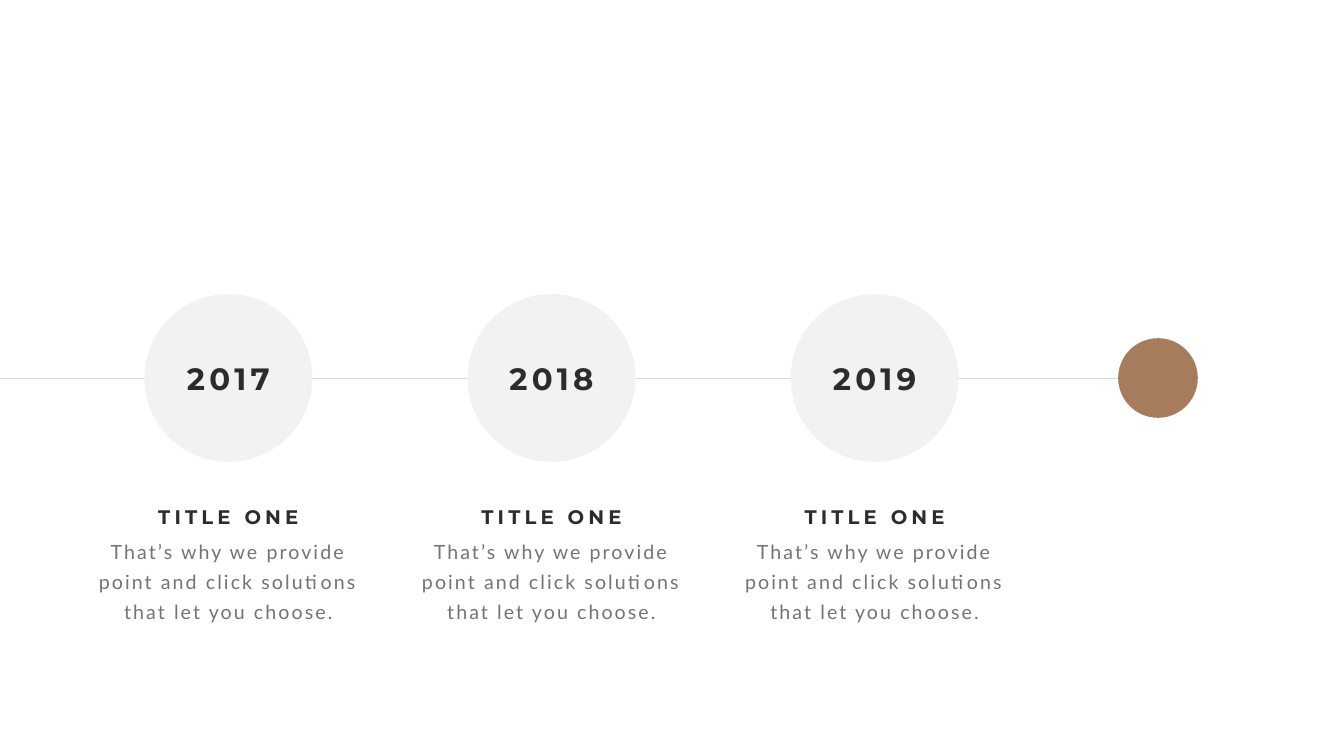
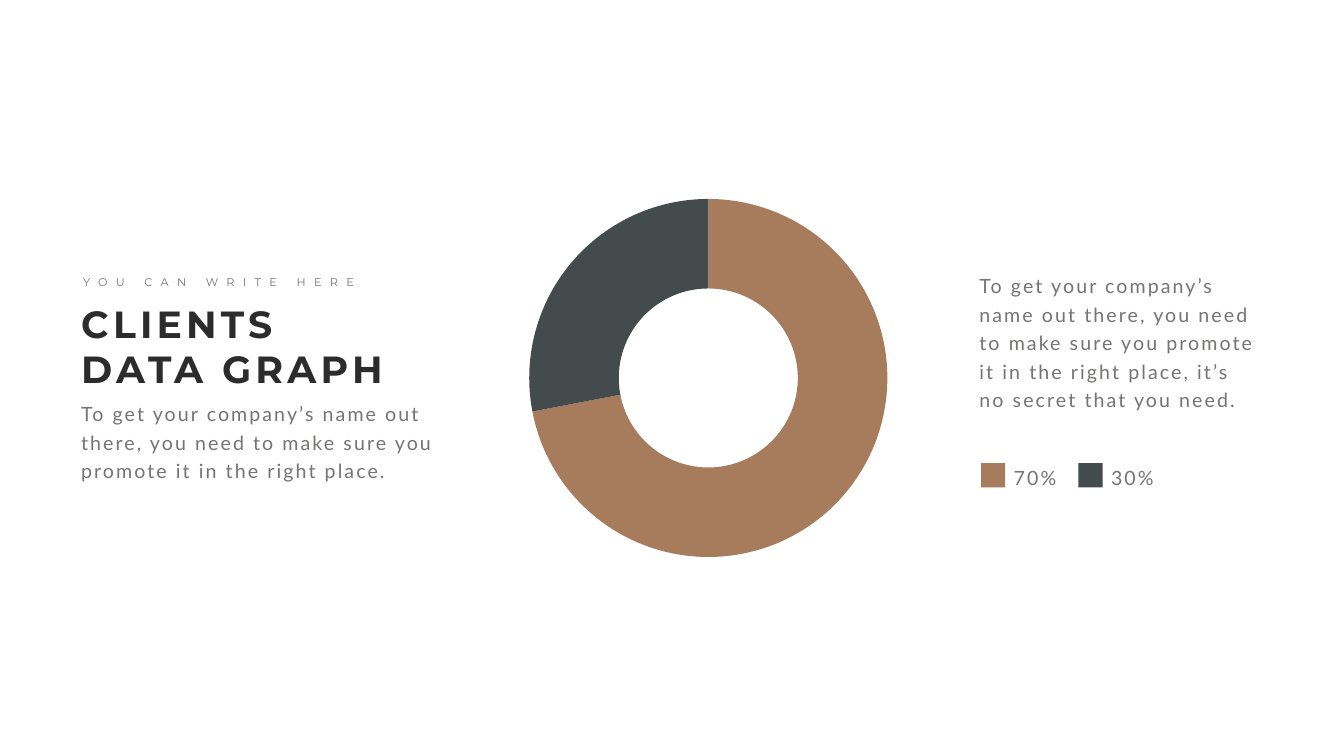
from dataclasses import dataclass

from lxml.etree import SubElement
from pptx import Presentation
from pptx.chart.data import CategoryChartData
from pptx.dml.color import RGBColor
from pptx.enum.chart import XL_CHART_TYPE
from pptx.enum.shapes import MSO_CONNECTOR, MSO_SHAPE
from pptx.enum.text import MSO_ANCHOR, MSO_AUTO_SIZE, PP_ALIGN
from pptx.oxml.ns import qn
from pptx.util import Inches, Pt


@dataclass(frozen=True)
class TextStyle:
    font: str
    size: int
    color: str
    spacing: int  # letter spacing in points
    bold: bool = False


class Theme:
    PAPER = "FFFFFF"
    INK = "2B2C2B"
    GREY = "737572"
    PALE = "F2F2F2"
    RULE = "D9D9D9"
    BROWN = "A67C5C"
    SLATE = "444B4D"

    TITLE = TextStyle("Montserrat", 54, INK, 6, True)
    YEAR = TextStyle("Montserrat", 44, INK, 6, True)
    HEADING = TextStyle("Montserrat", 28, INK, 6, True)
    KICKER = TextStyle("Montserrat", 16, GREY, 12)
    BODY = TextStyle("Lato", 28, GREY, 3)
    CHART_FONT = "Calibri"
    CHART_SIZE = 10
    BODY_LEADING = 40.8
    STEP_LEADING = 43


TITLE_ONLY, BLANK = 5, 6


class Deck:
    """Holds the presentation, its theme and the slide being filled."""

    def __init__(self, theme):
        self.theme = theme
        self.presentation = Presentation()
        self.presentation.slide_width = Inches(26.66)
        self.presentation.slide_height = Inches(15)
        self.slide = None

    def new_slide(self, layout):
        layouts = self.presentation.slide_layouts
        self.slide = self.presentation.slides.add_slide(layouts[layout])
        self.paint(self.slide.background.fill, self.theme.PAPER)

    @staticmethod
    def paint(fill, color):
        fill.solid()
        fill.fore_color.rgb = RGBColor.from_string(color)

    def fill_frame(self, frame, content, style, align, leading=None, wrap=True):
        frame.word_wrap = wrap
        frame.auto_size = MSO_AUTO_SIZE.SHAPE_TO_FIT_TEXT
        frame.vertical_anchor = MSO_ANCHOR.TOP
        paragraph = frame.paragraphs[0]
        paragraph.alignment = align
        if leading:
            paragraph.line_spacing = Pt(leading)
        run = paragraph.add_run()
        run.text = content
        run._r.get_or_add_rPr().set("spc", str(style.spacing * 100))
        font = paragraph.font
        font.name, font.size, font.bold = style.font, Pt(style.size), style.bold
        font.color.rgb = RGBColor.from_string(style.color)

    def title(self, content, left, top, width, height):
        heading = self.slide.shapes.title
        heading.left, heading.top = Inches(left), Inches(top)
        heading.width, heading.height = Inches(width), Inches(height)
        self.fill_frame(heading.text_frame, content, self.theme.TITLE, PP_ALIGN.LEFT)

    def text(self, content, style, left, top, width, height,
             align=PP_ALIGN.LEFT, leading=None, wrap=True):
        box = self.slide.shapes.add_textbox(
            Inches(left), Inches(top), Inches(width), Inches(height))
        self.fill_frame(box.text_frame, content, style, align, leading, wrap)

    def centred_text(self, content, style, center, top, width, height, leading=None):
        self.text(content, style, center - width / 2, top, width, height,
                  PP_ALIGN.CENTER, leading)

    def shape(self, preset, color, left, top, size):
        figure = self.slide.shapes.add_shape(
            preset, Inches(left), Inches(top), Inches(size), Inches(size))
        figure.shadow.inherit = False
        self.paint(figure.fill, color)
        figure.line.fill.background()

    def circle(self, color, center_x, center_y, diameter):
        self.shape(MSO_SHAPE.OVAL, color, center_x - diameter / 2,
                   center_y - diameter / 2, diameter)

    def horizontal_line(self, start, end, y):
        rule = self.slide.shapes.add_connector(
            MSO_CONNECTOR.STRAIGHT, Inches(start), Inches(y), Inches(end), Inches(y))
        rule.line.color.rgb = RGBColor.from_string(self.theme.RULE)
        rule.line.width = Pt(0.5)
        SubElement(rule._element.spPr, qn("a:effectLst"))

    def doughnut(self, values, colors, left, top, width, height):
        data = CategoryChartData()
        data.categories = [str(n) for n in range(1, len(values) + 1)]
        data.add_series("Series 1", values)
        chart = self.slide.shapes.add_chart(
            XL_CHART_TYPE.DOUGHNUT, Inches(left), Inches(top),
            Inches(width), Inches(height), data).chart
        chart.has_legend = chart.has_title = False
        chart.font.name = self.theme.CHART_FONT
        chart.font.size = Pt(self.theme.CHART_SIZE)
        chart.font.color.rgb = RGBColor.from_string(self.theme.GREY)
        plot = chart.plots[0]
        plot.vary_by_categories = True
        plot._element.find(qn("c:holeSize")).set("val", "90")
        for index, color in enumerate(colors):
            slice_format = plot.series[0].points[index].format
            self.paint(slice_format.fill, color)
            slice_format.line.fill.background()


def timeline_slide(deck):
    theme = deck.theme
    axis_y, first_center, pitch, end_center = 7.5, 4.53, 6.41, 22.97
    deck.new_slide(BLANK)
    deck.horizontal_line(0, end_center, axis_y)
    deck.circle(theme.BROWN, end_center, axis_y, 1.58)
    for step, year in enumerate(("2017", "2018", "2019")):
        center = first_center + step * pitch
        deck.centred_text(
            "That’s why we provide point and click solutions that let you choose.",
            theme.BODY, center, 10.53, 5.45, 1.85, theme.STEP_LEADING)
        deck.centred_text("TITLE ONE", theme.HEADING, center, 9.96, 4.41, 0.57)
        deck.circle(theme.PALE, center, axis_y, 3.33)
        deck.centred_text(year, theme.YEAR, center, 7.08, 3.26, 0.84)


def clients_slide(deck):
    theme = deck.theme
    leading = theme.BODY_LEADING
    deck.new_slide(TITLE_ONLY)
    deck.text("To get your company’s name out there, you need to make sure you "
              "promote it in the right place.",
              theme.BODY, 1.51, 7.83, 7.54, 1.77, leading=leading)
    deck.title("CLIENTS DATA GRAPH", 1.51, 5.91, 6.52, 1.92)
    deck.text("YOU CAN WRITE HERE", theme.KICKER, 1.55, 5.41, 5.78, 0.37, wrap=False)
    deck.doughnut((72, 28), (theme.BROWN, theme.SLATE), 10.1, 3.81, 7.9, 7.38)

    legend = (("70%", theme.BROWN), ("30%", theme.SLATE))
    for entry, (share, color) in enumerate(legend):
        left = 19.46 + entry * 1.93
        deck.shape(MSO_SHAPE.RECTANGLE, color, left, 9.19, 0.48)
        deck.text(share, theme.BODY, left + 0.55, 9.09, 1.18, 0.62, leading=leading)
    deck.text("To get your company’s name out there, you need to make sure you "
              "promote it in the right place, it’s no secret that you need.",
              theme.BODY, 19.33, 5.29, 5.78, 2.92, leading=leading)


def main():
    deck = Deck(Theme())
    timeline_slide(deck)
    clients_slide(deck)
    deck.presentation.save("out.pptx")


if __name__ == "__main__":
    main()
